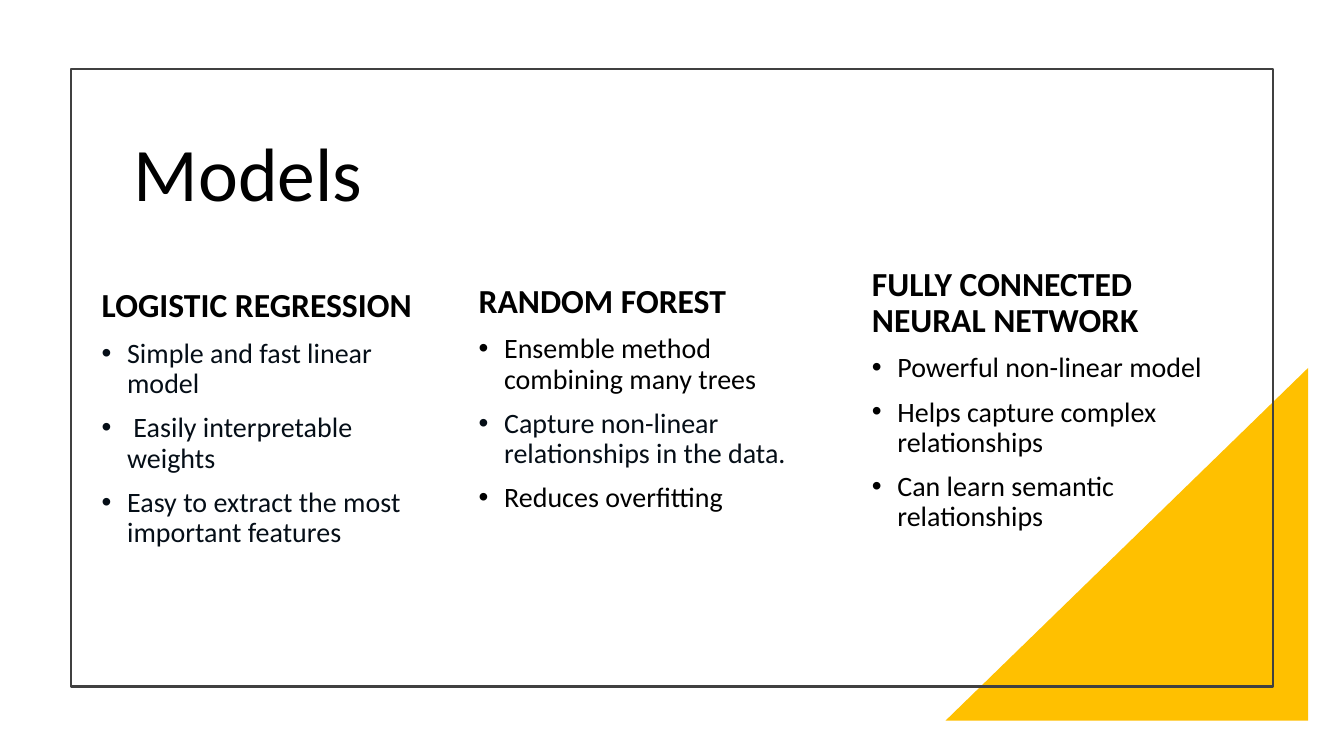
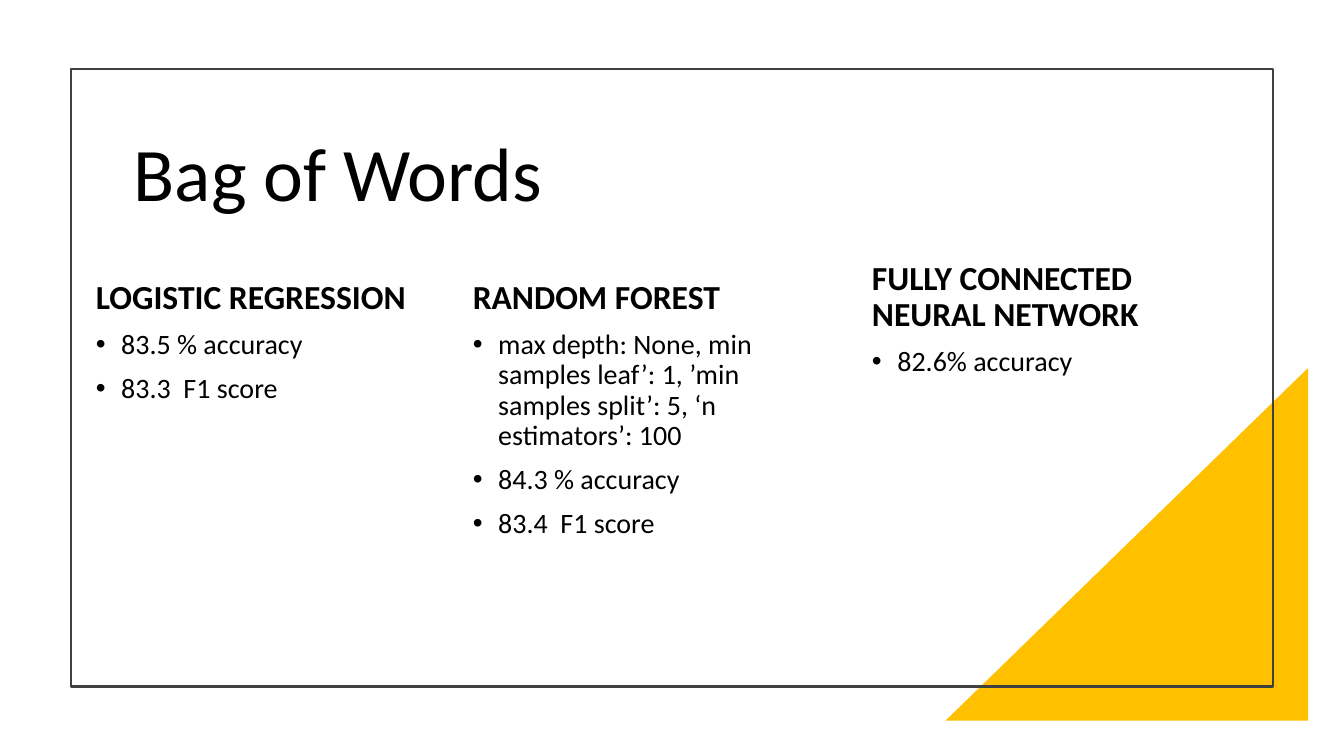
from lxml.etree import SubElement
from pptx import Presentation
from pptx.dml.color import RGBColor
from pptx.enum.shapes import MSO_SHAPE
from pptx.enum.text import MSO_ANCHOR, MSO_AUTO_SIZE, PP_ALIGN
from pptx.oxml.ns import qn
from pptx.util import Cm, Pt

COLOURS = {"ink": "000000", "navy": "050E17", "frame": "404040", "accent": "FFC000"}
FONT = "Calibri"
COMPARISON_LAYOUT = 4
BULLET_INDENT = Cm(0.64)
COLUMN_SIZES = [(9.09, 7.54), (9.02, 7.26), (9.35, 7.26)]

MODELS = [
    ("LOGISTIC REGRESSION", (2.31, 6.78), [
        ("Simple and fast linear model", "navy"),
        (" Easily interpretable weights", "navy"),
        ("Easy to extract the most important features", "navy"),
    ]),
    ("RANDOM FOREST", (11.81, 6.43), [
        ("Ensemble method combining many trees", "ink"),
        ("Capture non-linear relationships in the data.", "navy"),
        ("Reduces overfitting", "ink"),
    ]),
    ("FULLY CONNECTED NEURAL NETWORK", (21.72, 6.45), [
        ("Powerful non-linear model", "ink"),
        ("Helps capture complex relationships", "ink"),
        ("Can learn semantic relationships", "ink"),
    ]),
]

BAG_OF_WORDS = [
    ("LOGISTIC REGRESSION", (2.16, 6.93), [
        ("83.5 % accuracy", "ink"),
        ("83.3  F1 score", "ink"),
    ]),
    ("RANDOM FOREST", (11.66, 6.93), [
        ("max depth: None, min samples leaf’: 1, ’min samples split’: 5, ‘n estimators’: 100", "ink"),
        ("84.3 % accuracy", "ink"),
        ("83.4  F1 score", "ink"),
    ]),
    ("FULLY CONNECTED NEURAL NETWORK", (21.72, 6.45), [
        ("82.6% accuracy", "ink"),
    ]),
]


def colour(name):
    return RGBColor.from_string(COLOURS[name])


class SlideBuilder:
    def __init__(self, deck):
        self.deck = deck
        self.page = None

    def start_page(self, title):
        self.page = self.deck.slides.add_slide(self.deck.slide_layouts[COMPARISON_LAYOUT])
        self.add_frame()
        self.add_corner()
        self.set_title(title)

    def add_backdrop(self, preset, left, top, width, height):
        shape = self.page.shapes.add_shape(preset, Cm(left), Cm(top), Cm(width), Cm(height))
        shape.shadow.inherit = False
        self.page.shapes._spTree.insert(2, shape._element)
        return shape

    def add_frame(self):
        frame = self.add_backdrop(MSO_SHAPE.RECTANGLE, 1.78, 1.73, 30.3, 15.57)
        frame.fill.background()
        frame.line.color.rgb = colour("frame")
        frame.line.width = Pt(1.5)

    def add_corner(self):
        corner = self.add_backdrop(MSO_SHAPE.RIGHT_TRIANGLE, 23.83, 9.27, 9.14, 8.89)
        corner.fill.solid()
        corner.fill.fore_color.rgb = colour("accent")
        corner.line.fill.background()
        corner._element.spPr.find(qn("a:xfrm")).set("flipH", "1")

    def place(self, box, left, top, width, height, anchor):
        box.left, box.top, box.width, box.height = Cm(left), Cm(top), Cm(width), Cm(height)
        frame = box.text_frame
        frame.word_wrap = True
        frame.auto_size = MSO_AUTO_SIZE.NONE
        frame.vertical_anchor = anchor
        return frame

    def set_paragraph(self, para, text, size, ink="ink", bold=False, before=10, bullet=False):
        para.text = text
        para.alignment = PP_ALIGN.LEFT
        para.line_spacing = 0.9
        para.space_before = Pt(before)
        indent = BULLET_INDENT if bullet else 0
        properties = para._p.get_or_add_pPr()
        properties.set("marL", str(indent))
        properties.set("indent", str(-indent))
        if bullet:
            SubElement(properties, qn("a:buFont")).set("typeface", "Arial")
            SubElement(properties, qn("a:buChar")).set("char", "•")
        else:
            SubElement(properties, qn("a:buNone"))
        para.font.name = FONT
        para.font.size = Pt(size)
        para.font.bold = bold
        para.font.color.rgb = colour(ink)

    def set_title(self, text):
        frame = self.place(self.page.shapes.title, 3.12, 3.3, 27.74, 2.31, MSO_ANCHOR.MIDDLE)
        self.set_paragraph(frame.paragraphs[0], text, 54, before=0)

    def add_columns(self, columns, anchor):
        bodies = [box for box in self.page.placeholders if 1 <= box.placeholder_format.idx <= 4]
        for box, size, (heading, position, bullets) in zip(bodies, COLUMN_SIZES, columns):
            frame = self.place(box, *position, *size, anchor)
            self.set_paragraph(frame.paragraphs[0], heading, 24, bold=True)
            for text, ink in bullets:
                self.set_paragraph(frame.add_paragraph(), text, 20, ink, bullet=True)
        for spare in bodies[len(columns):]:
            spare._element.getparent().remove(spare._element)


def main():
    deck = Presentation()
    deck.slide_width, deck.slide_height = Cm(33.87), Cm(19.05)
    builder = SlideBuilder(deck)
    for title, columns, anchor in [
        ("Models", MODELS, MSO_ANCHOR.MIDDLE),
        ("Bag of Words", BAG_OF_WORDS, MSO_ANCHOR.TOP),
    ]:
        builder.start_page(title)
        builder.add_columns(columns, anchor)
    deck.save("out.pptx")


if __name__ == "__main__":
    main()
